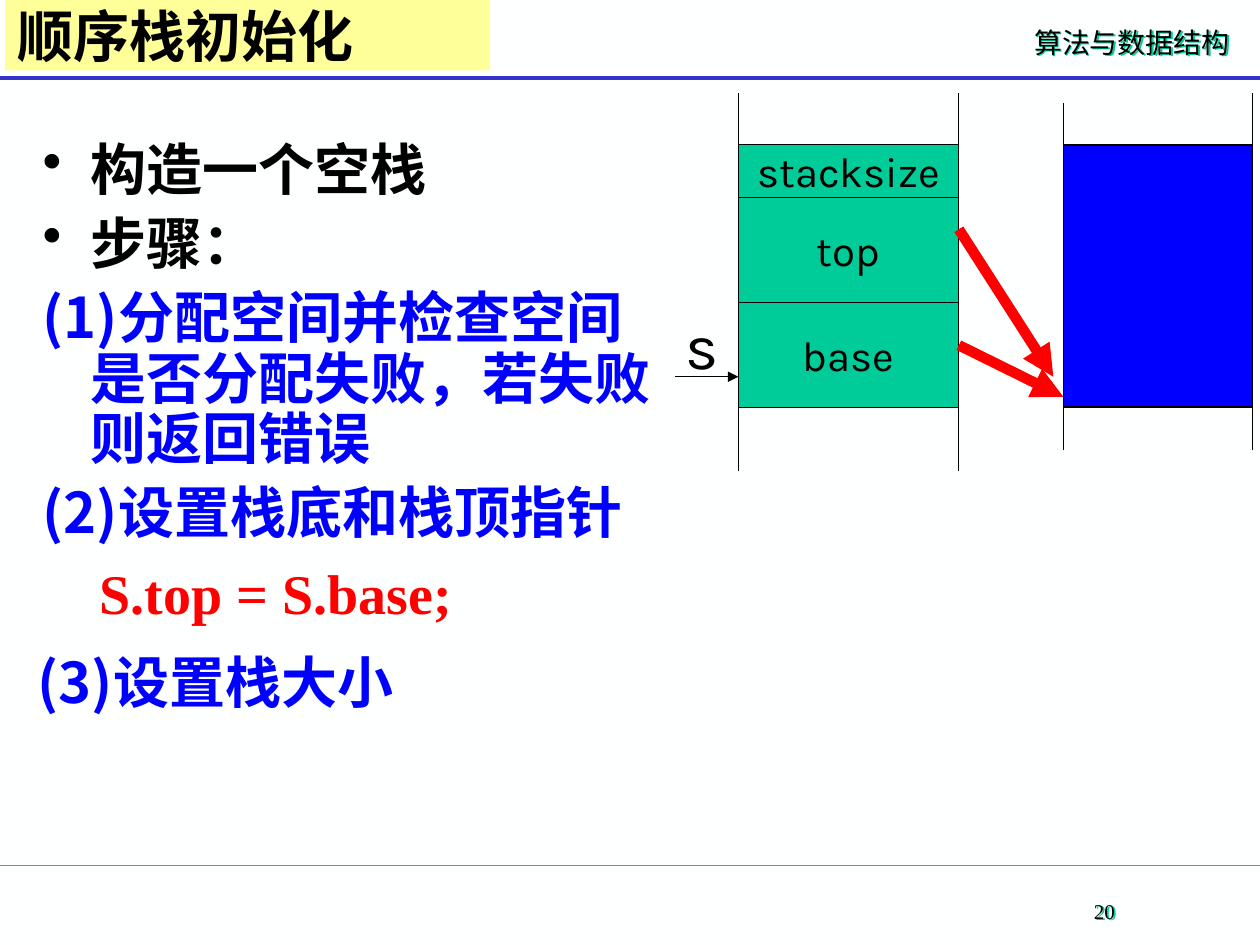
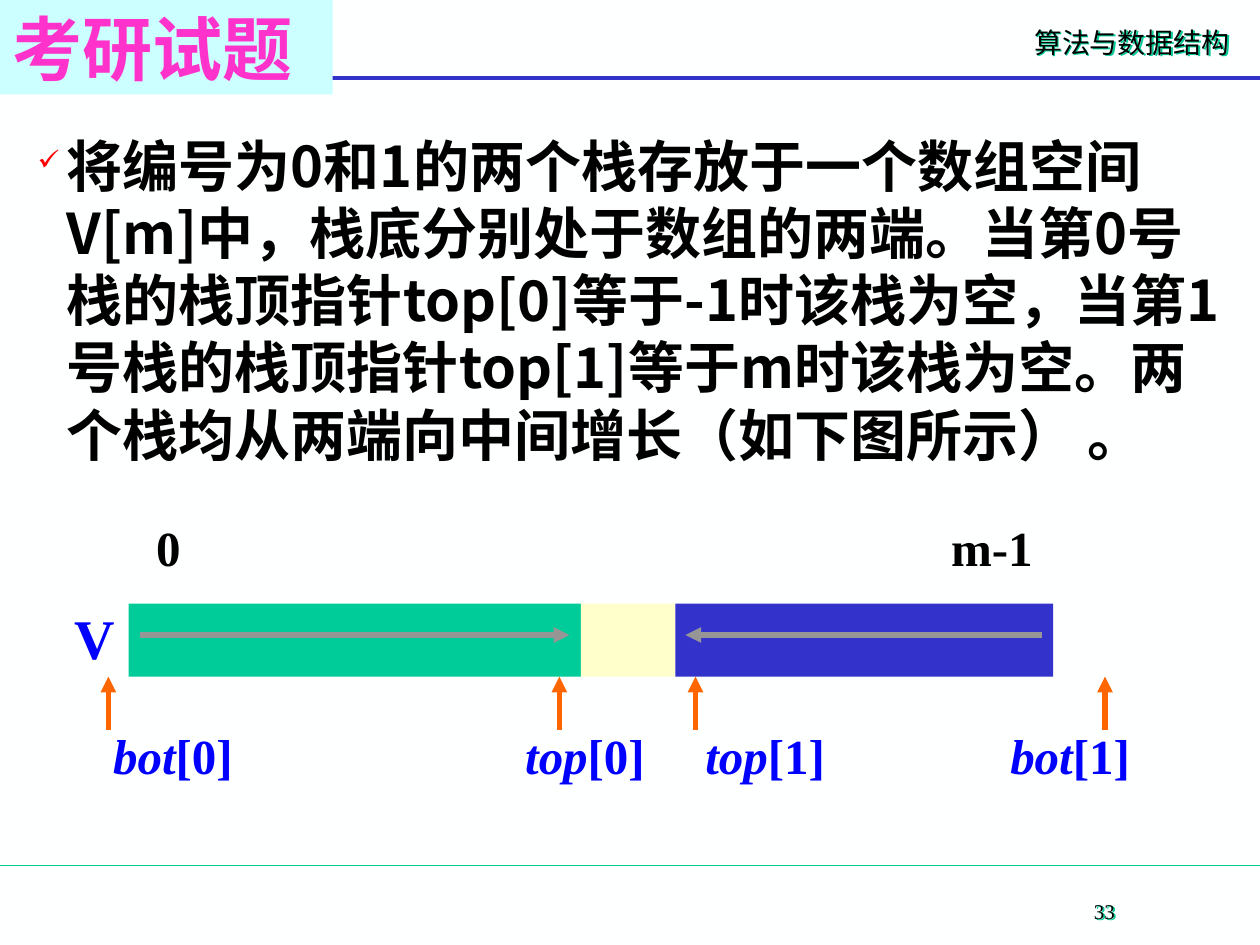
"""Build two slides on sequential stacks with a shared frame."""
from dataclasses import dataclass, field
from typing import Optional

from lxml import etree
from pptx import Presentation
from pptx import util as u
from pptx.dml.color import RGBColor
from pptx.enum import shapes, text
from pptx.oxml import ns


@dataclass(frozen=True)
class Theme:
    paper: str = "FEFFFF"
    black: str = "000000"
    blue: str = "0000FF"
    navy: str = "3333CC"
    green: str = "00CC99"
    red: str = "FF0000"
    orange: str = "FF6600"
    gray: str = "969696"
    pink: str = "FF33CC"
    cream: str = "FFFFCC"
    yellow: str = "FFFF99"
    sky: str = "CCFFFF"
    hei: str = "Noto Sans CJK SC"
    serif: str = "Times New Roman"
    sans: str = "Karla"
    huge: int = 40
    large: int = 36
    body: int = 32
    label: int = 28
    cell: int = 24
    head: int = 16
    foot: int = 12
    gap: int = 8
    tight: float = 34.5
    loose: float = 38.4


T = Theme()


@dataclass(frozen=True)
class Style:
    size: int
    color: str = T.black
    face: str = T.hei
    bold: bool = True


@dataclass(frozen=True)
class Bullet:
    mark: str
    color: str = T.black
    scale: int = 100


@dataclass(frozen=True)
class Para:
    words: str
    style: Style
    left: float = 0
    hang: float = 0
    pitch: Optional[float] = None
    bullet: Optional[Bullet] = None
    slant: str = ""
    center: bool = False


@dataclass(frozen=True)
class Box:
    left: float
    top: float
    width: float
    height: float
    paras: list[Para] = field(default_factory=list)
    fill: Optional[str] = None
    line: Optional[str] = None
    middle: bool = False
    wrap: bool = True
    glow: bool = False


@dataclass(frozen=True)
class Rule:
    x1: float
    y1: float
    x2: float
    y2: float
    color: str = T.black
    width: float = 0.75
    arrow: bool = False


HEAD = Style(T.head, face=T.serif, bold=False)
FOOT = Style(T.foot, face=T.serif, bold=False)
BODY = Style(T.body)
STEP = Style(T.body, T.blue)
CODE = Style(T.body, T.red, T.serif)
CELL = Style(T.cell, face=T.sans, bold=False)
NAME = Style(T.large, face=T.sans, bold=False)
INDEX = Style(T.label, face=T.serif)
POINT = Style(T.label, T.blue, T.serif)
ARRAY = Style(T.body, T.blue, T.serif)


def apply(target: object, values: dict) -> None:
    """Set each attribute named in values."""
    for key, value in values.items():
        setattr(target, key, value)


def add(parent, tag: str, **attrs: str):
    """Append a drawing element to its parent."""
    return etree.SubElement(parent, ns.qn(tag), attrs)


def write(para, item: Para, first: bool) -> None:
    """Fill one paragraph with its runs and format."""
    props = para._p.get_or_add_pPr()
    if item.left:
        props.set("marL", str(u.Inches(item.left)))
        props.set("indent", str(-u.Inches(item.hang)))
    if item.bullet:
        tint = add(props, "a:buClr")
        add(tint, "a:srgbClr", val=item.bullet.color)
        add(props, "a:buSzPct", val=str(item.bullet.scale * 1000))
        add(props, "a:buChar", char=item.bullet.mark)
    if item.center:
        para.alignment = text.PP_ALIGN.CENTER
    if item.pitch:
        para.line_spacing = u.Pt(item.pitch)
    if not first:
        para.space_before = u.Pt(T.gap)
    for words, slant in ((item.slant, True), (item.words, False)):
        if words:
            run = para.add_run()
            run.text = words
            look = item.style
            apply(run.font, {"size": u.Pt(look.size), "name": look.face,
                             "bold": look.bold, "italic": slant})
            run.font.color.rgb = RGBColor.from_string(look.color)
            add(run._r.get_or_add_rPr(), "a:ea", typeface=T.hei)


def draw_box(slide, box: Box) -> None:
    """Draw a filled panel or a plain text box."""
    place = [u.Inches(n) for n in (box.left, box.top, box.width, box.height)]
    if box.fill:
        shape = slide.shapes.add_shape(shapes.MSO_SHAPE.RECTANGLE, *place)
        shape.shadow.inherit = False
        shape.fill.solid()
        shape.fill.fore_color.rgb = RGBColor.from_string(box.fill)
        if box.line:
            shape.line.color.rgb = RGBColor.from_string(box.line)
            shape.line.width = u.Pt(0.75)
        else:
            shape.line.fill.background()
    else:
        shape = slide.shapes.add_textbox(*place)
    if box.glow:
        effects = add(shape._element.spPr, "a:effectLst")
        shade = add(effects, "a:outerShdw", dist="17961", dir="2700000")
        add(shade, "a:srgbClr", val=T.green)
    frame = shape.text_frame
    anchor = text.MSO_ANCHOR.MIDDLE if box.middle else text.MSO_ANCHOR.TOP
    apply(frame, {"word_wrap": box.wrap, "vertical_anchor": anchor})
    for i, item in enumerate(box.paras):
        para = frame.add_paragraph() if i else frame.paragraphs[0]
        para.alignment = text.PP_ALIGN.LEFT
        write(para, item, i == 0)


def draw_rule(slide, rule: Rule) -> None:
    """Draw a line, with an arrowhead at its end if asked."""
    ends = [u.Inches(n) for n in (rule.x1, rule.y1, rule.x2, rule.y2)]
    link = slide.shapes.add_connector(shapes.MSO_CONNECTOR.STRAIGHT, *ends)
    link.line.color.rgb = RGBColor.from_string(rule.color)
    link.line.width = u.Pt(rule.width)
    if rule.arrow:
        add(link.line._get_or_add_ln(), "a:tailEnd", type="triangle")
    add(link._element.spPr, "a:effectLst")


def draw(slide, *items) -> None:
    """Draw boxes and rules from back to front."""
    for item in items:
        (draw_box if isinstance(item, Box) else draw_rule)(slide, item)


def title(words: str, style: Style, fill: str, left: float,
          width: float, height: float) -> Box:
    """Return the title band of a slide."""
    return Box(left, 0, width, height, [Para(words, style)], fill, middle=True)


def start(deck, page: int):
    """Add a slide with the shared header and footer."""
    slide = deck.slides.add_slide(deck.slide_layouts[6])
    slide.background.fill.solid()
    slide.background.fill.fore_color.rgb = RGBColor.from_string(T.paper)
    draw(slide,
         Rule(0, 6.87, 10, 6.87, T.green),
         Rule(0, 0.62, 10, 0.62, T.navy, 2.25),
         Box(8.11, 0.15, 1.77, 0.37, [Para("算法与数据结构", HEAD)], glow=True),
         Box(8.09, 7.08, 1.35, 0.3, [Para(str(page), FOOT, center=True)],
             glow=True))
    return slide


def setup_slide(deck) -> None:
    """Show how a sequential stack is set up."""
    slide = start(deck, 20)
    dot = Bullet("•")
    hang = {"left": 0.38, "hang": 0.38}
    near = hang | {"pitch": T.tight}
    far = hang | {"pitch": T.loose}
    draw(slide,
         Box(0.24, 1.07, 5.09, 2.66, [
             Para("构造一个空栈", BODY, bullet=dot, **near),
             Para("步骤：", BODY, bullet=dot, **near),
             Para("(1)分配空间并检查空间是否分配失败，若失败则返回错误",
                  STEP, **near)]),
         title("顺序栈初始化", BODY, T.yellow, 0.04, 3.85, 0.56))
    left, right, top, unit = 5.86, 7.61, 1.15, 0.4167
    for words, rows in (("stacksize", 1), ("top", 2), ("base", 2)):
        draw(slide, Box(left, top, right - left, rows * unit,
                        [Para(words, CELL, center=True)], T.green, T.black,
                        middle=True, wrap=False))
        top += rows * unit
    draw(slide,
         *(Rule(x, 0.74, x, 3.74) for x in (left, right)),
         Rule(5.36, 2.99, left, 2.99, arrow=True),
         Box(5.34, 2.38, 0.6, 0.7, [Para("s", NAME)]),
         Box(8.44, 1.15, 1.5, 2.08, fill=T.blue, line=T.black),
         Rule(8.44, 0.82, 8.44, 3.57),
         Rule(9.94, 0.74, 9.94, 3.57),
         Rule(right, 2.74, 8.44, 3.15, T.red, 6, True),
         Rule(right, 1.82, 8.36, 2.99, T.red, 6, True),
         Box(0.24, 3.74, 5.12, 1.19, [
             Para("(2)设置栈底和栈顶指针", STEP, **far),
             Para("S.top = S.base;", CODE, left=0.45, pitch=T.loose)]),
         Box(0.2, 5.09, 4.91, 0.57, [Para("(3)设置栈大小", STEP, **far)]))


def exam_slide(deck) -> None:
    """Show the exam question on two stacks in one array."""
    slide = start(deck, 33)
    task = ("将编号为0和1的两个栈存放于一个数组空间V[m]中，"
            "栈底分别处于数组的两端。当第0号栈的栈顶指针top[0]等于-1时该栈为空，"
            "当第1号栈的栈顶指针top[1]等于m时该栈为空。"
            "两个栈均从两端向中间增长（如下图所示） 。")
    draw(slide,
         Box(0.2, 0.99, 9.69, 2.77,
             [Para(task, BODY, 0.23, 0.23, T.loose, Bullet("✓", T.red, 50))],
             middle=True),
         title("考研试题", Style(T.huge, T.pink), T.sky, 0, 2.64, 0.75))
    marks = (("bot", "[0]", 0.8, 0.86), ("top", "[0]", 4.07, 4.44),
             ("top", "[1]", 5.5, 5.52), ("bot", "[1]", 7.92, 8.77))
    for name, index, left, x in marks:
        draw(slide,
             Box(left, 5.71, 1.4, 0.57, [Para(index, POINT, slant=name)]),
             Rule(x, 5.79, x, 5.37, T.orange, 3, True))
    left = 1.02
    for width, fill in ((3.59, T.green), (0.75, T.cream), (3, T.navy)):
        draw(slide, Box(left, 4.79, width, 0.58, fill=fill))
        left += width
    for words, style, x, y in (("0", INDEX, 1.14, 4.06),
                               ("m-1", INDEX, 7.45, 4.06),
                               ("V", ARRAY, 0.49, 4.74)):
        draw(slide, Box(x, y, 1, 0.6, [Para(words, style)]))
    for begin, end in ((1.11, 4.52), (8.27, 5.44)):
        draw(slide, Rule(begin, 5.04, end, 5.04, T.gray, 3, True))


def main() -> None:
    """Build and save the deck."""
    deck = Presentation()
    apply(deck, {"slide_width": u.Inches(10), "slide_height": u.Inches(7.5)})
    setup_slide(deck)
    exam_slide(deck)
    deck.save("out.pptx")


if __name__ == "__main__":
    main()
